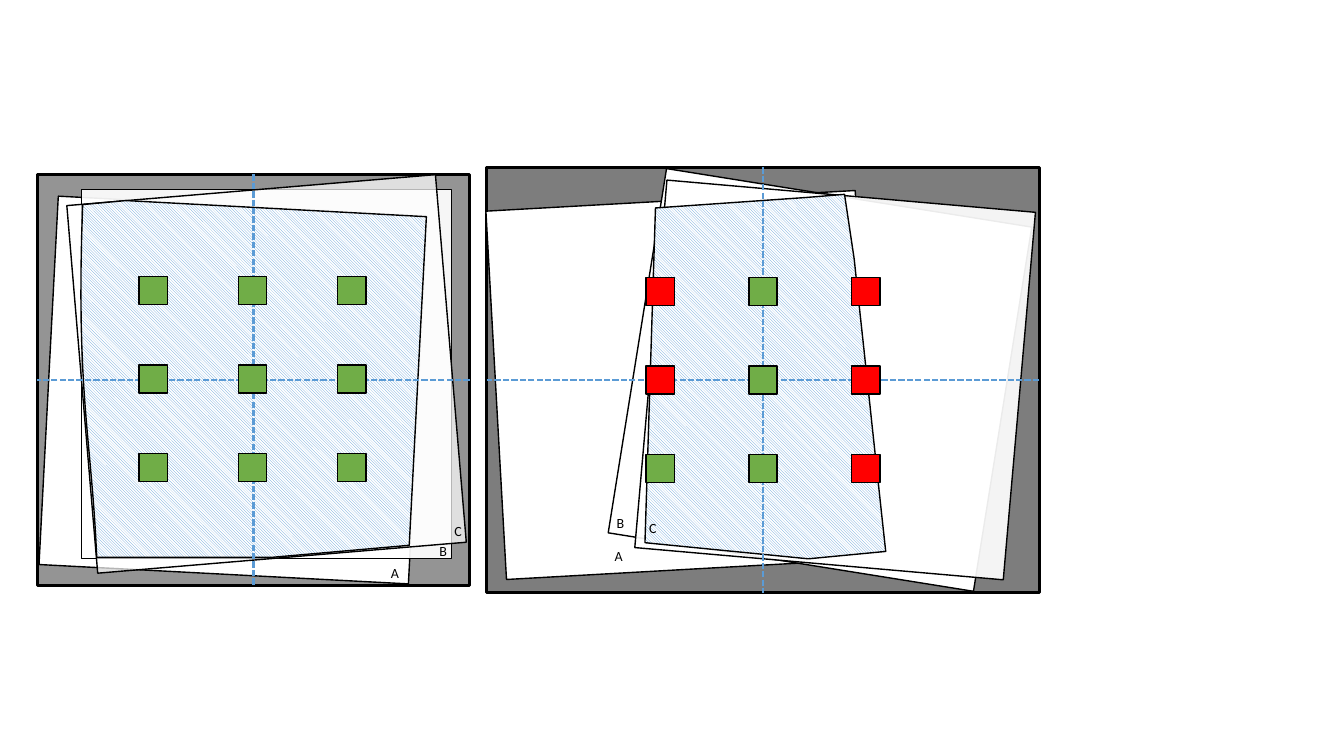
from dataclasses import dataclass
from itertools import product

from lxml.etree import SubElement
from pptx import Presentation
from pptx.dml.color import RGBColor
from pptx.enum.dml import MSO_LINE, MSO_PATTERN
from pptx.enum.shapes import MSO_CONNECTOR, MSO_SHAPE
from pptx.enum.text import MSO_AUTO_SIZE
from pptx.oxml.ns import qn
from pptx.util import Emu, Inches, Pt

COLORS = {"black": "000000", "white": "FFFFFF", "blue": "5B9BD5",
          "G": "70AD47", "R": "FF0000"}

# The slide is a grid of 160 columns by 90 rows of square cells.
COLUMNS, ROWS = 160, 90
SLIDE_HEIGHT = Inches(7.5)
CELL = SLIDE_HEIGHT // ROWS
SHEET_SIZE = (44.04, 43.92)
LABEL_SIZE = (3.36, 3.24)
MARKER_SIZE = (3.36, 3.36)
CURVE_STEPS = 16

Point = tuple[float, float]


@dataclass
class Sheet:
    name: str
    corner: Point
    rotation: float
    opacity: int
    label: Point


@dataclass
class Overlap:
    """Outline of the common area; a one-point step is a line, three points a curve."""
    start: Point
    steps: list[tuple[Point, ...]]
    rotation: float = 0


@dataclass
class Panel:
    corner: Point
    size: Point
    opacity: int
    sheets: list[Sheet]
    overlap: Overlap
    first_marker: Point
    marker_gap: Point
    markers: list[str]


PANELS = [
    Panel((4.44, 20.76), (51.48, 48.96), 42,
          [Sheet("A", (5.76, 24.48), 3, 100, (45.36, 66.6)),
           Sheet("B", (9.72, 22.56), 0, 92, (51.12, 63.96)),
           Sheet("C", (9.72, 22.56), -4.8, 71, (52.92, 61.56))],
          Overlap((9.84, 24.36),
                  [((15, 23.88),), ((50.76, 25.8),), ((48.72, 64.92),),
                   ((32.28, 66.36),), ((11.52, 66.36),),
                   ((10.92, 52.32), (9, 46.56), (9.84, 24.36))]),
          (16.56, 32.88), (11.82, 10.56), ["GGG", "GGG", "GGG"]),
    Panel((57.96, 19.92), (65.76, 50.64), 51,
          [Sheet("A", (59.04, 23.88), -3.2, 100, (72, 64.56)),
           Sheet("B", (75.6, 23.28), 9.1, 100, (72.24, 60.72)),
           Sheet("C", (77.4, 23.28), 5, 92, (76.08, 61.2))],
          Overlap((79.2, 24.12),
                  [((97.2, 23.88),), ((101.76, 23.76),), ((102.48, 31.56),),
                   ((103.08, 43.08), (103.68, 54.96), (104.28, 66.48)),
                   ((95.04, 66.84),), ((75.72, 63.84),)], -3.2),
          (76.92, 33), (12.24, 10.56), ["RGR", "RGR", "GGR"]),
]


def cells(*counts: float) -> list[Emu]:
    return [Emu(round(count * CELL)) for count in counts]


def color(name: str) -> RGBColor:
    return RGBColor.from_string(COLORS[name])


def outline(shape, width: float) -> None:
    shape.line.color.rgb = color("black")
    shape.line.width = Pt(width)
    shape.shadow.inherit = False


def add_box(slide, corner: Point, size: Point, fill: str, opacity: int = 100,
            line_width: float = 1, rotation: float = 0):
    shape = slide.shapes.add_shape(MSO_SHAPE.RECTANGLE, *cells(*corner, *size))
    shape.rotation = rotation
    shape.fill.solid()
    shape.fill.fore_color.rgb = color(fill)
    if opacity < 100:
        fill_color = shape._element.spPr.find(qn("a:solidFill"))[0]
        SubElement(fill_color, qn("a:alpha")).set("val", str(opacity * 1000))
    outline(shape, line_width)
    return shape


def curve_points(*controls: Point) -> list[Point]:
    """Points along a cubic Bezier curve, without its first one."""
    points = []
    for step in range(1, CURVE_STEPS + 1):
        t = step / CURVE_STEPS
        weights = ((1 - t) ** 3, 3 * t * (1 - t) ** 2, 3 * t * t * (1 - t), t ** 3)
        points.append(tuple(sum(weight * control[axis] for weight, control
                                in zip(weights, controls)) for axis in (0, 1)))
    return points


def add_overlap(slide, overlap: Overlap) -> None:
    points = [overlap.start]
    for step in overlap.steps:
        points += curve_points(points[-1], *step) if len(step) == 3 else step
    builder = slide.shapes.build_freeform(*cells(*overlap.start))
    builder.add_line_segments([cells(*point) for point in points[1:]], close=True)
    shape = builder.convert_to_shape()
    shape.rotation = overlap.rotation
    shape.fill.patterned()
    shape.fill.pattern = MSO_PATTERN.LIGHT_DOWNWARD_DIAGONAL
    shape.fill.fore_color.rgb = color("blue")
    shape.fill.back_color.rgb = color("white")
    outline(shape, 1)


def add_label(slide, sheet: Sheet) -> None:
    frame = slide.shapes.add_textbox(*cells(*sheet.label, *LABEL_SIZE)).text_frame
    frame.word_wrap = False
    frame.auto_size = MSO_AUTO_SIZE.SHAPE_TO_FIT_TEXT
    run = frame.paragraphs[0].add_run()
    run.text = sheet.name
    run.font.name = "Calibri"
    run.font.size = Pt(10)
    run.font.color.rgb = color("black")


def add_axis(slide, frame, begin_side: int, end_side: int) -> None:
    axis = slide.shapes.add_connector(MSO_CONNECTOR.STRAIGHT, 0, 0, 0, 0)
    axis.begin_connect(frame, begin_side)
    axis.end_connect(frame, end_side)
    axis.line.color.rgb = color("blue")
    axis.line.width = Pt(1.5)
    axis.line.dash_style = MSO_LINE.SQUARE_DOT
    SubElement(axis._element.spPr, qn("a:effectLst"))


def add_panel(slide, panel: Panel) -> None:
    frame = add_box(slide, panel.corner, panel.size, "black", panel.opacity, 2)
    for sheet in panel.sheets:
        add_box(slide, sheet.corner, SHEET_SIZE, "white", sheet.opacity,
                rotation=sheet.rotation)
    add_overlap(slide, panel.overlap)
    for sheet in panel.sheets:
        add_label(slide, sheet)
    add_axis(slide, frame, 0, 2)
    add_axis(slide, frame, 3, 1)
    (left, top), (column_gap, row_gap) = panel.first_marker, panel.marker_gap
    for row, column in product(range(3), repeat=2):
        corner = (left + column * column_gap, top + row * row_gap)
        add_box(slide, corner, MARKER_SIZE, panel.markers[row][column])


def main() -> None:
    presentation = Presentation()
    presentation.slide_width = Emu(COLUMNS * CELL)
    presentation.slide_height = SLIDE_HEIGHT
    slide = presentation.slides.add_slide(presentation.slide_layouts[6])
    for panel in PANELS:
        add_panel(slide, panel)
    presentation.save("out.pptx")


if __name__ == "__main__":
    main()
